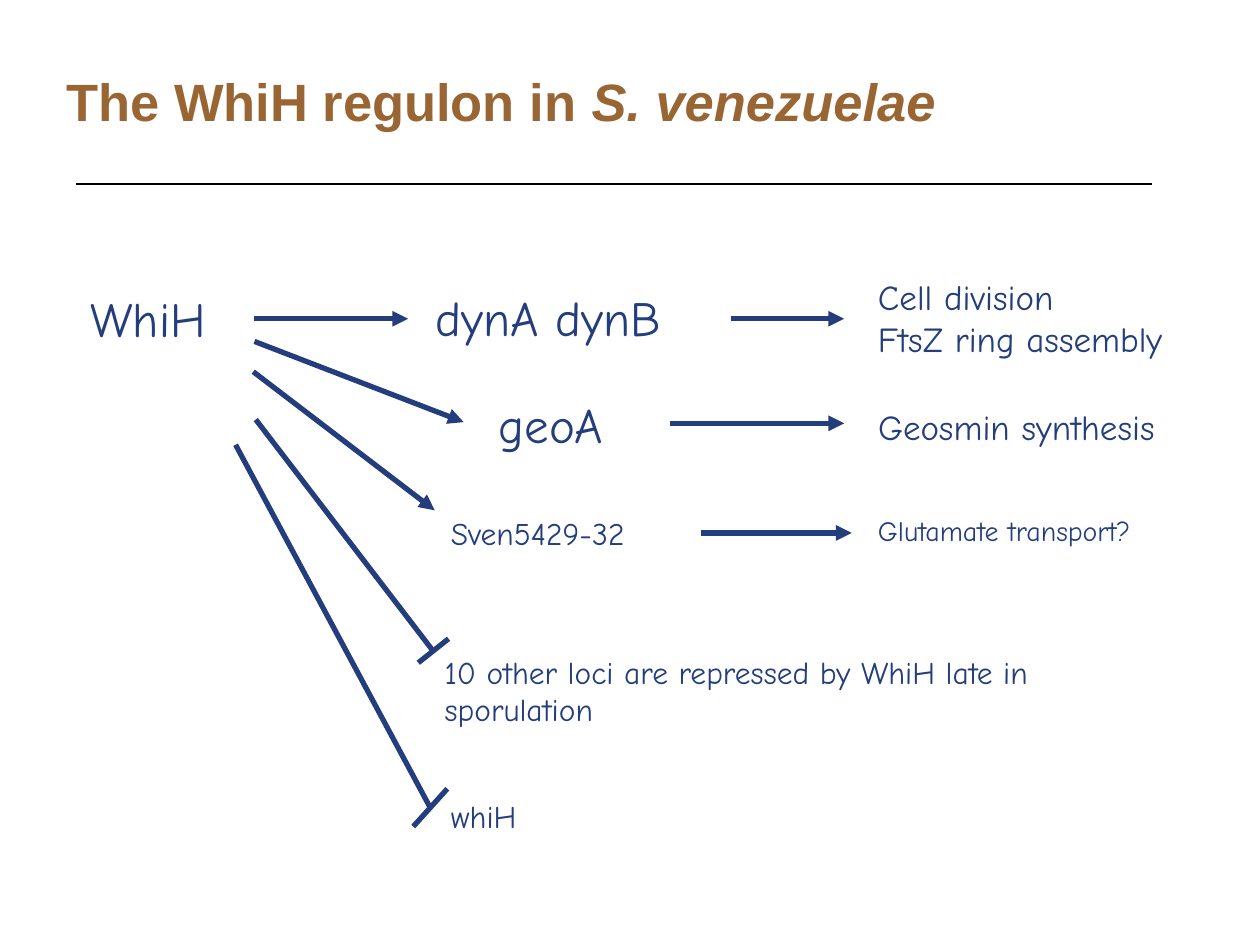
from dataclasses import dataclass

from lxml.etree import SubElement
from pptx import Presentation
from pptx.dml.color import RGBColor
from pptx.enum.shapes import MSO_CONNECTOR as Connector
from pptx.enum.text import MSO_ANCHOR as Anchor
from pptx.oxml.ns import qn
from pptx.util import Inches, Pt


@dataclass(frozen=True)
class Theme:
    """Colours, fonts and type sizes of the slide."""
    ink: RGBColor = RGBColor.from_string("233D7D")
    heading: RGBColor = RGBColor.from_string("996633")
    rule: RGBColor = RGBColor.from_string("000000")
    body_font: str = "Comic Neue"
    heading_font: str = "Arial"
    title: int = 30
    gene: int = 28
    effect: int = 20
    locus: int = 18
    note: int = 16
    arrow_width: int = 3
    rule_width: int = 1


THEME = Theme()
EFFECT_LEFT = 6.87

TITLE = [("The WhiH regulon in ", False), ("S. venezuelae", True)]
TITLE_BOX = (0.43, 0.17, 9.22, 1.25)
TITLE_RULE = ((0.6, 1.46), (9.14, 1.46))

LABELS = [
    ("WhiH", (0.62, 2.24, 1.19, 0.57), THEME.gene, False),
    ("dynA dynB", (3.36, 2.23, 2.09, 0.57), THEME.gene, False),
    ("Cell division\nFtsZ ring assembly", (EFFECT_LEFT, 2.14, 2.66, 0.78), THEME.effect, False),
    ("geoA", (3.86, 3.08, 1.1, 0.57), THEME.gene, False),
    ("Geosmin synthesis", (EFFECT_LEFT, 3.17, 2.52, 0.44), THEME.effect, False),
    ("Sven5429-32", (3.48, 4.03, 1.7, 0.41), THEME.locus, False),
    ("Glutamate transport?", (EFFECT_LEFT, 4.03, 3.13, 0.37), THEME.note, True),
    ("10 other loci are repressed by WhiH late in sporulation",
     (3.43, 5.13, 6.07, 0.7), THEME.locus, True),
    ("whiH", (3.48, 6.28, 1.9, 0.4), THEME.locus, True),
]

ACTIVATIONS = [
    ((2.02, 2.53), (3.24, 2.53)),
    ((2.02, 2.71), (3.68, 3.35)),
    ((2.01, 2.95), (3.45, 4.05)),
    ((5.8, 2.53), (6.7, 2.53)),
    ((5.32, 3.36), (6.7, 3.36)),
    ((5.56, 4.23), (6.76, 4.23)),
]

REPRESSIONS = [
    {"stem": ((2.03, 3.33), (3.44, 5.17)), "bar": ((3.56, 5.07), (3.32, 5.26))},
    {"stem": ((1.87, 3.53), (3.42, 6.42)), "bar": ((3.55, 6.26), (3.28, 6.56))},
]


def add_line(slide, start, end, color=THEME.ink, width=THEME.arrow_width, arrow=False):
    """Draw a straight line, with an arrowhead at its end if asked."""
    ends = [Inches(length) for length in (*start, *end)]
    connector = slide.shapes.add_connector(Connector.STRAIGHT, *ends)
    connector.line.color.rgb = color
    connector.line.width = Pt(width)
    properties = connector._element.spPr
    if arrow:
        SubElement(properties.find(qn("a:ln")), qn("a:tailEnd"), type="triangle")
    SubElement(properties, qn("a:effectLst"))


def add_text_frame(slide, box, wrap):
    """Add an empty text box and return its text frame."""
    frame = slide.shapes.add_textbox(*map(Inches, box)).text_frame
    frame.word_wrap = wrap
    return frame


def add_label(slide, text, box, size, wrap):
    """Add a gene or effect label."""
    frame = add_text_frame(slide, box, wrap)
    frame.text = text
    for paragraph in frame.paragraphs:
        for run in paragraph.runs:
            run.font.name = THEME.body_font
            run.font.size = Pt(size)
            run.font.color.rgb = THEME.ink


def add_title(slide):
    """Add the title and the rule beneath it."""
    frame = add_text_frame(slide, TITLE_BOX, True)
    frame.vertical_anchor = Anchor.MIDDLE
    for words, italic in TITLE:
        run = frame.paragraphs[0].add_run()
        run.text = words
        run.font.name = THEME.heading_font
        run.font.size = Pt(THEME.title)
        run.font.bold = True
        run.font.italic = italic
        run.font.color.rgb = THEME.heading
    add_line(slide, *TITLE_RULE, color=THEME.rule, width=THEME.rule_width)


def main():
    """Build the regulon slide."""
    presentation = Presentation()
    presentation.slide_width, presentation.slide_height = Inches(10), Inches(7.5)
    slide = presentation.slides.add_slide(presentation.slide_layouts[6])
    add_title(slide)
    for label in LABELS:
        add_label(slide, *label)
    for start, end in ACTIVATIONS:
        add_line(slide, start, end, arrow=True)
    for repression in REPRESSIONS:
        add_line(slide, *repression["stem"])
        add_line(slide, *repression["bar"])
    presentation.save("out.pptx")


if __name__ == "__main__":
    main()
